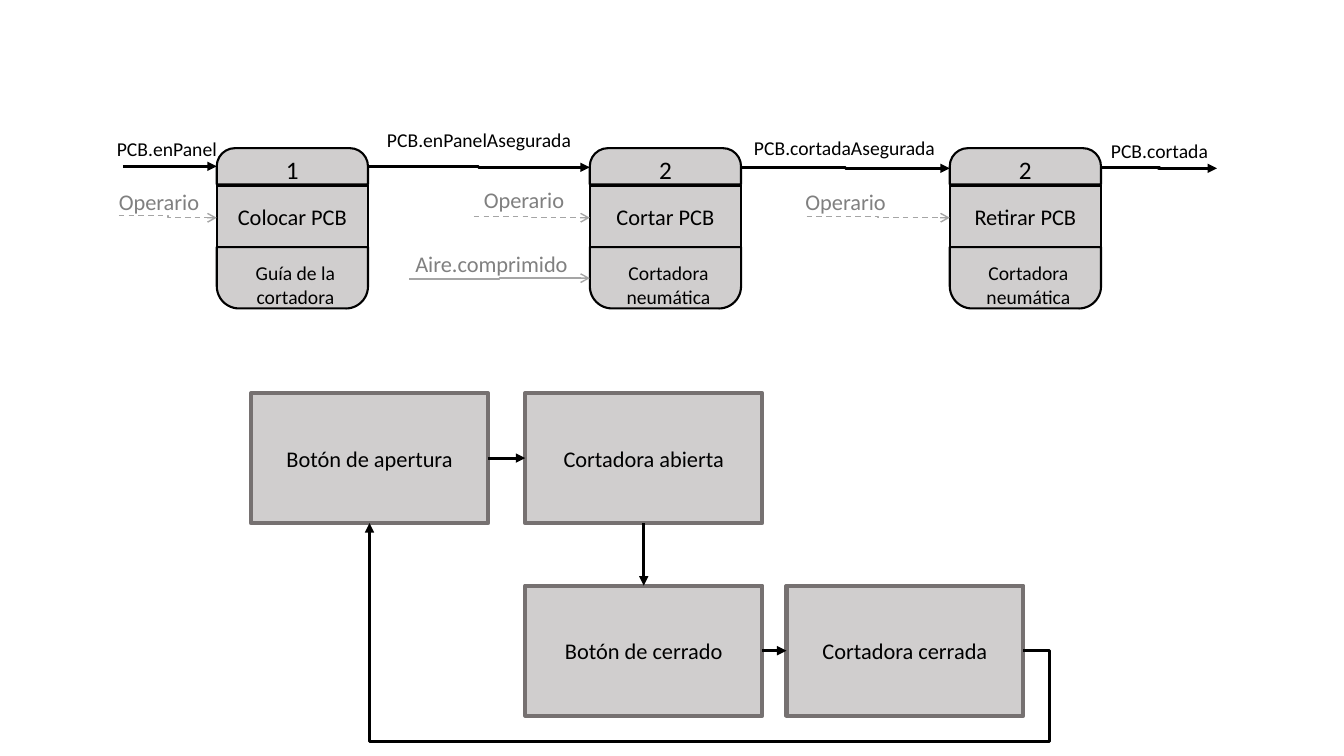
from lxml.etree import SubElement
from pptx import Presentation
from pptx.dml.color import RGBColor
from pptx.enum.dml import MSO_LINE
from pptx.enum.shapes import MSO_CONNECTOR, MSO_SHAPE
from pptx.enum.text import MSO_ANCHOR, MSO_AUTO_SIZE, PP_ALIGN
from pptx.oxml.ns import qn
from pptx.util import Pt

PX = 9144  # 100 px to the inch
BLACK = RGBColor(0x00, 0x00, 0x00)
SILVER = RGBColor(0xD0, 0xCE, 0xCE)
STONE = RGBColor(0x76, 0x71, 0x71)
GRAY = RGBColor(0x80, 0x80, 0x80)
PALE = RGBColor(0xA5, 0xA5, 0xA5)
FONT = "Calibri"
TOP, RIGHT, BOTTOM, LEFT = 0, 3, 2, 1  # connection sites of a rectangle
STEP_W, BOX_W, BOX_H = 150, 235, 129

# left edge, number, action, resource
STEPS = [
    (215, "1", "Colocar PCB", "Guía de la cortadora"),
    (585, "2", "Cortar PCB", "Cortadora neumática"),
    (942, "2", "Retirar PCB", "Cortadora neumática"),
]
# start x, start y, end x, end y
FLOWS = [
    (122, 165, 215, 165),
    (365, 165, 585, 166),
    (735, 166, 942, 167),
    (1092, 166, 1207, 167),
]
# the same, then whether dashed
INPUTS = [
    (118, 214, 215, 216, True),
    (470, 215, 585, 216, True),
    (800, 215, 942, 216, True),
    (406, 277, 585, 276, False),
]
# left, top, width, text
FLOW_TAGS = [
    (106, 131, 121, "PCB.enPanel"),
    (374, 122, 204, "PCB.enPanelAsegurada"),
    (738, 130, 204, "PCB.cortadaAsegurada"),
    (1092, 133, 204, "PCB.cortada"),
]
INPUT_TAGS = [
    (108, 182, 121, "Operario"),
    (470, 180, 121, "Operario"),
    (789, 182, 121, "Operario"),
    (402, 243, 175, "Aire.comprimido"),
]


def scale(*sizes):
    return [size * PX for size in sizes]


def write(frame, text, size, color, align):
    frame.word_wrap = True
    para = frame.paragraphs[0]
    para.alignment = align
    run = para.add_run()
    run.text = text
    run.font.name = FONT
    run.font.size = Pt(size)
    run.font.color.rgb = color


def add_box(shapes, kind, area, edge, weight, text="", size=16):
    box = shapes.add_shape(kind, *scale(*area))
    box.shadow.inherit = False
    box.fill.solid()
    box.fill.fore_color.rgb = SILVER
    box.line.color.rgb = edge
    box.line.width = Pt(weight)
    if text:
        box.text_frame.vertical_anchor = MSO_ANCHOR.MIDDLE
        write(box.text_frame, text, size, BLACK, PP_ALIGN.CENTER)
    return box


def add_label(shapes, area, text, size, color=BLACK, align=PP_ALIGN.LEFT):
    label = shapes.add_textbox(*scale(*area))
    write(label.text_frame, text, size, color, align)
    label.text_frame.auto_size = MSO_AUTO_SIZE.SHAPE_TO_FIT_TEXT


def add_step(shapes, left, number, action, tool):
    """Add a group of number cap, action band and rounded resource base."""
    parts = shapes.add_group_shape().shapes
    round_top = MSO_SHAPE.ROUND_2_SAME_RECTANGLE
    cap = add_box(parts, round_top, (left, 147, STEP_W, 36), BLACK, 1.5, number, 18)
    cap.adjustments[0] = 0.5
    base = add_box(parts, round_top, (left, 245, STEP_W, 61), BLACK, 1.5)
    base.adjustments[0] = 0.36
    base.rotation = 180
    add_box(parts, MSO_SHAPE.RECTANGLE, (left, 184, STEP_W, 61), BLACK, 1.5, action)
    add_label(parts, (left + 14, 254, 128, 57), tool, 14, align=PP_ALIGN.CENTER)


def add_arrow(shapes, ends=(0, 0, 0, 0), color=BLACK, weight=2.25,
              head="triangle", dashed=False, kind=MSO_CONNECTOR.ELBOW):
    arrow = shapes.add_connector(kind, *scale(*ends))
    arrow.line.color.rgb = color
    arrow.line.width = Pt(weight)
    if dashed:
        arrow.line.dash_style = MSO_LINE.DASH
    props = arrow._element.spPr
    SubElement(props.find(qn("a:ln")), qn("a:tailEnd"), type=head)
    SubElement(props, qn("a:effectLst"))
    return arrow


def link(shapes, first, out, last, into, kind=MSO_CONNECTOR.ELBOW):
    arrow = add_arrow(shapes, kind=kind)
    arrow.begin_connect(first, out)
    arrow.end_connect(last, into)
    return arrow


def bend(arrow, *turns):
    """Give an arrow three corners, placed by fractions of its size."""
    geom = arrow._element.spPr.find(qn("a:prstGeom"))
    geom.set("prst", "bentConnector4")
    guides = geom.find(qn("a:avLst"))
    if guides is None:
        guides = SubElement(geom, qn("a:avLst"))
    for count, turn in enumerate(turns, 1):
        SubElement(guides, qn("a:gd"), name=f"adj{count}",
                   fmla=f"val {round(turn * 100000)}")


def add_cycle(shapes):
    def state(left, top, text):
        area = (left, top, BOX_W, BOX_H)
        return add_box(shapes, MSO_SHAPE.RECTANGLE, area, STONE, 3, text)

    opener = state(249, 390, "Botón de apertura")
    opened = state(521, 390, "Cortadora abierta")
    closer = state(521, 581, "Botón de cerrado")
    closed = state(780, 581, "Cortadora cerrada")
    link(shapes, opener, RIGHT, opened, LEFT)
    link(shapes, opened, BOTTOM, closer, TOP, MSO_CONNECTOR.STRAIGHT)
    link(shapes, closer, RIGHT, closed, LEFT)
    bend(link(shapes, closed, RIGHT, opener, BOTTOM), -0.04, -0.71)


def main():
    deck = Presentation()
    deck.slide_width, deck.slide_height = scale(1333, 750)
    shapes = deck.slides.add_slide(deck.slide_layouts[6]).shapes
    for step in STEPS:
        add_step(shapes, *step)
    for ends in FLOWS:
        add_arrow(shapes, ends)
    for *ends, dashed in INPUTS:
        add_arrow(shapes, ends, PALE, 1, "arrow", dashed)
    for left, top, width, text in FLOW_TAGS:
        add_label(shapes, (left, top, width, 34), text, 14)
    for left, top, width, text in INPUT_TAGS:
        add_label(shapes, (left, top, width, 37), text, 16, GRAY)
    add_cycle(shapes)
    deck.save("out.pptx")


if __name__ == "__main__":
    main()
